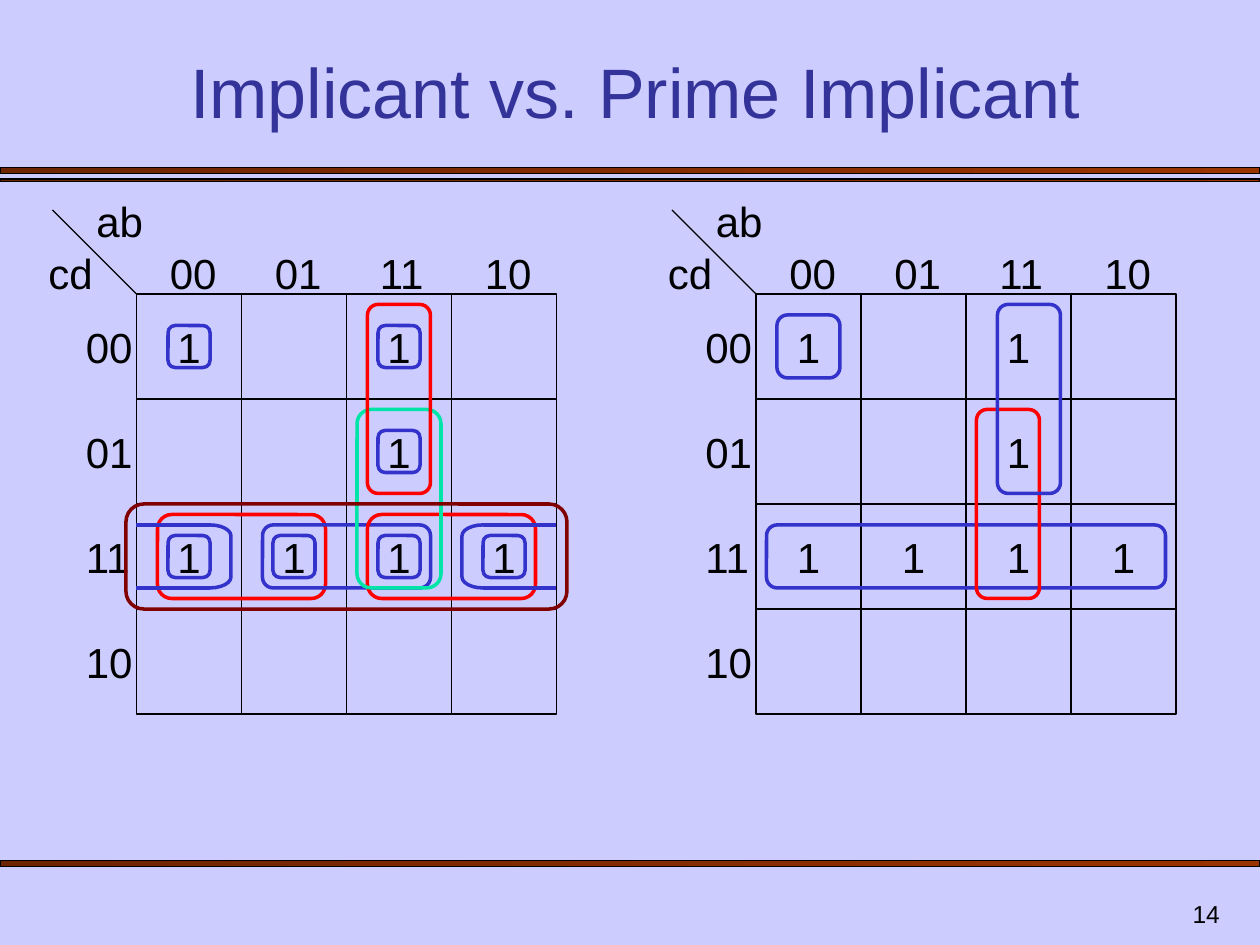
from lxml.etree import SubElement
from pptx import Presentation
from pptx.dml.color import RGBColor
from pptx.enum.shapes import MSO_CONNECTOR, MSO_SHAPE
from pptx.enum.text import MSO_ANCHOR, MSO_AUTO_SIZE, PP_ALIGN
from pptx.oxml.ns import qn
from pptx.util import Inches, Pt

TITLE = "Implicant vs. Prime Implicant"
PAGE_NUMBER = "14"
CODES = ["00", "01", "11", "10"]
ONES = [(0, 0), (2, 0), (2, 1), (0, 2), (1, 2), (2, 2), (3, 2)]
BLACK, BLUE, RED, GREEN, MAROON = "000000", "3333CC", "FF0000", "00E4A8", "800000"
BACKGROUND, TITLE_COLOUR = "CCCCFF", "333399"
BAR_GRADIENT = ["6D2400", "993300"]
BARS = [(1.33, 0.05), (1.42, 0.02), (6.83, 0.05)]

UNITS_PER_INCH = 12
CELL = 10
MAP_TOP = 28
LEFT_MAP, RIGHT_MAP = 13, 72
LOOPS = {
    LEFT_MAP: [
        (2, 21, 16, 8, RED),
        (12, 22, 16, 6, BLUE),
        (22, 21, 16, 8, RED),
        (21, 11, 8, 17, GREEN),
        (22, 1, 6, 18, RED),
        (-1, 20, 42, 10, MAROON),
    ] + [(CELL * column + 3, CELL * row + 3, 4, 4, BLUE) for column, row in ONES],
    RIGHT_MAP: [
        (1, 22, 38, 6, BLUE),
        (21, 11, 6, 18, RED),
        (23, 1, 6, 18, BLUE),
        (2, 2, 6, 6, BLUE),
    ],
}
WRAPPED_LOOP = [
    (MSO_SHAPE.LEFT_BRACKET, 31, 33, 40),
    (MSO_SHAPE.RIGHT_BRACKET, 7, 7, 0),
]


def colour(value):
    return RGBColor.from_string(value)


def apply_format(target, values):
    for name, value in values.items():
        setattr(target, name, value)


def set_line(shape, value, width):
    shape.line.color.rgb = colour(value)
    shape.line.width = Pt(width)


def place(origin, left, top, width, height):
    units = (origin + left, MAP_TOP + top, width, height)
    return [Inches(unit / UNITS_PER_INCH) for unit in units]


def write(shape, text, size, value, align, frame_format):
    frame = shape.text_frame
    apply_format(frame, {"word_wrap": True, **frame_format})
    paragraph = frame.paragraphs[0]
    paragraph.alignment = align
    run = paragraph.add_run()
    run.text = text
    apply_format(run.font, {"name": "Arial", "size": Pt(size)})
    run.font.color.rgb = colour(value)


def add_label(shapes, box, text, align=PP_ALIGN.LEFT):
    label = shapes.add_textbox(*box)
    write(label, text, 24, BLACK, align, {"auto_size": MSO_AUTO_SIZE.SHAPE_TO_FIT_TEXT})


def add_outline(shapes, kind, box, value, width, adjustment=None):
    shape = shapes.add_shape(kind, *box)
    shape.shadow.inherit = False
    shape.fill.background()
    set_line(shape, value, width)
    if adjustment is not None:
        shape.adjustments[0] = adjustment


def add_line(shapes, origin, start, end, value, width):
    points = place(origin, *start, 0, 0)[:2] + place(origin, *end, 0, 0)[:2]
    line = shapes.add_connector(MSO_CONNECTOR.STRAIGHT, *points)
    set_line(line, value, width)
    SubElement(line._element.spPr, qn("a:effectLst"))


def add_map(slide, origin):
    shapes = slide.shapes.add_group_shape().shapes
    for row in range(len(CODES)):
        for column in range(len(CODES)):
            box = place(origin, CELL * column, CELL * row, CELL, CELL)
            add_outline(shapes, MSO_SHAPE.RECTANGLE, box, BLACK, 0.75)
    add_line(shapes, origin, (-8, -8), (0, 0), BLACK, 0.75)
    add_label(shapes, place(origin, -5, -10, 8, 6), "ab")
    add_label(shapes, place(origin, -10, -5, 7, 6), "cd", PP_ALIGN.RIGHT)
    for index, code in enumerate(CODES):
        add_label(shapes, place(origin, CELL * index + 2, -5, 7.2, 6), code)
        add_label(shapes, place(origin, -6, CELL * index + 2, 7.2, 6), code)
    for column, row in ONES:
        box = place(origin, CELL * column, CELL * row + 2, CELL, 6)
        add_label(shapes, box, "1", PP_ALIGN.CENTER)


def add_wrapped_loop(slide, origin):
    for kind, left, start, end in WRAPPED_LOOP:
        shapes = slide.shapes.add_group_shape().shapes
        add_outline(shapes, kind, place(origin, left, 22, 2, 6), BLUE, 2, 0.52)
        for top in (22, 28):
            add_line(shapes, origin, (start, top), (end, top), BLUE, 2)


def add_bar(slide, top, height):
    bar = slide.shapes.add_shape(
        MSO_SHAPE.RECTANGLE, 0, Inches(top), Inches(10), Inches(height))
    bar.shadow.inherit = False
    bar.fill.gradient()
    bar.fill.gradient_angle = 0
    for position, (stop, value) in enumerate(zip(bar.fill.gradient_stops, BAR_GRADIENT)):
        stop.position = position
        stop.color.rgb = colour(value)
    set_line(bar, BLACK, 0.75)


def main():
    presentation = Presentation()
    apply_format(presentation, {"slide_width": Inches(10), "slide_height": Inches(7.5)})
    slide = presentation.slides.add_slide(presentation.slide_layouts[5])
    slide.background.fill.solid()
    slide.background.fill.fore_color.rgb = colour(BACKGROUND)

    for top, height in BARS:
        add_bar(slide, top, height)

    bottom = {"vertical_anchor": MSO_ANCHOR.BOTTOM}
    title = slide.shapes.title
    apply_format(title, {"left": Inches(0.58), "top": Inches(0.42),
                         "width": Inches(8.92), "height": Inches(0.68)})
    write(title, TITLE, 40, TITLE_COLOUR, PP_ALIGN.CENTER,
          {**bottom, "auto_size": MSO_AUTO_SIZE.NONE})
    number = slide.shapes.add_textbox(Inches(7.7), Inches(7), Inches(2.08), Inches(0.42))
    write(number, PAGE_NUMBER, 14, BLACK, PP_ALIGN.RIGHT, bottom)

    for origin, loops in LOOPS.items():
        add_map(slide, origin)
        for *box, value in loops:
            add_outline(slide.shapes, MSO_SHAPE.ROUNDED_RECTANGLE,
                        place(origin, *box), value, 2, 0.17)
    add_wrapped_loop(slide, LEFT_MAP)
    presentation.save("out.pptx")


if __name__ == "__main__":
    main()
